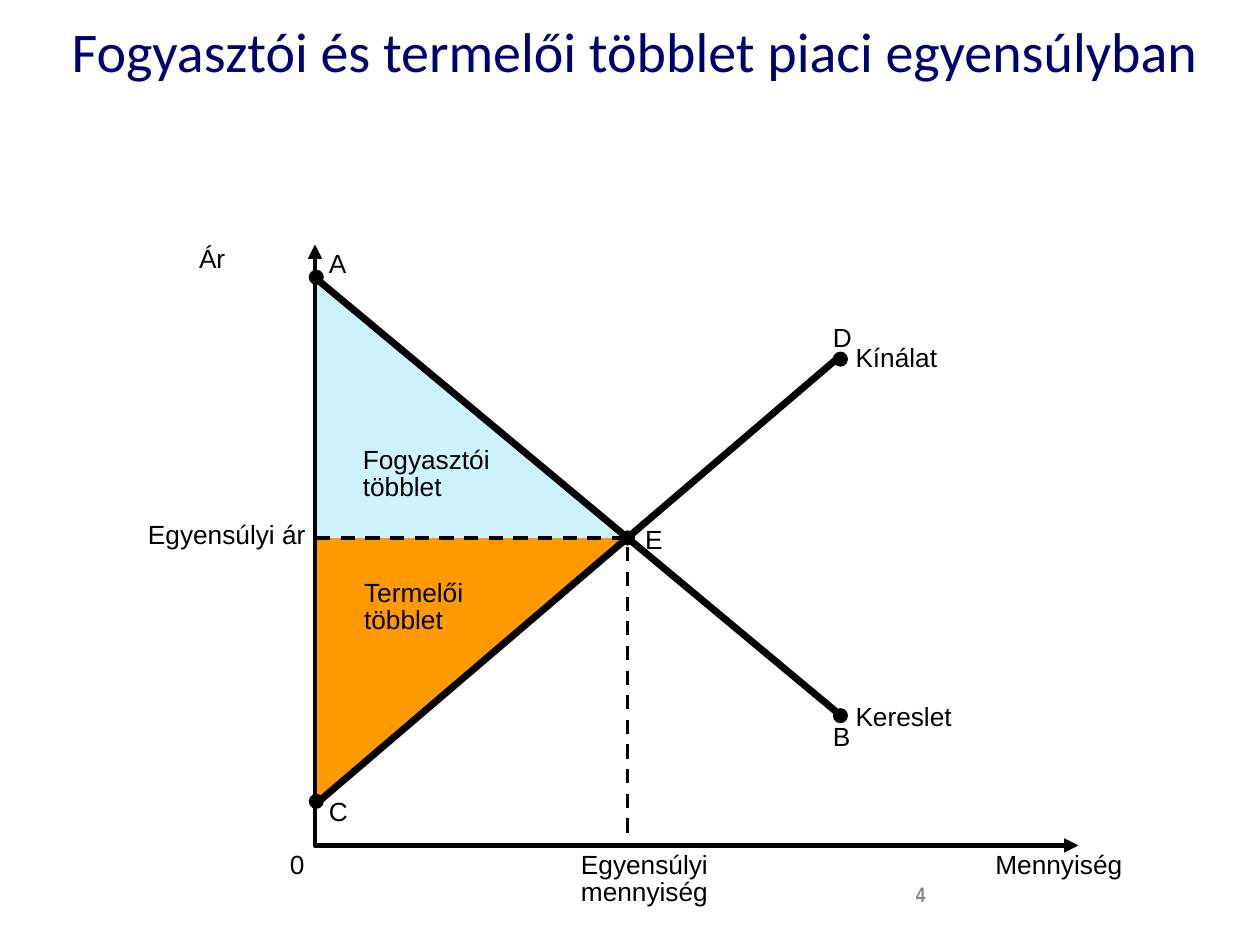
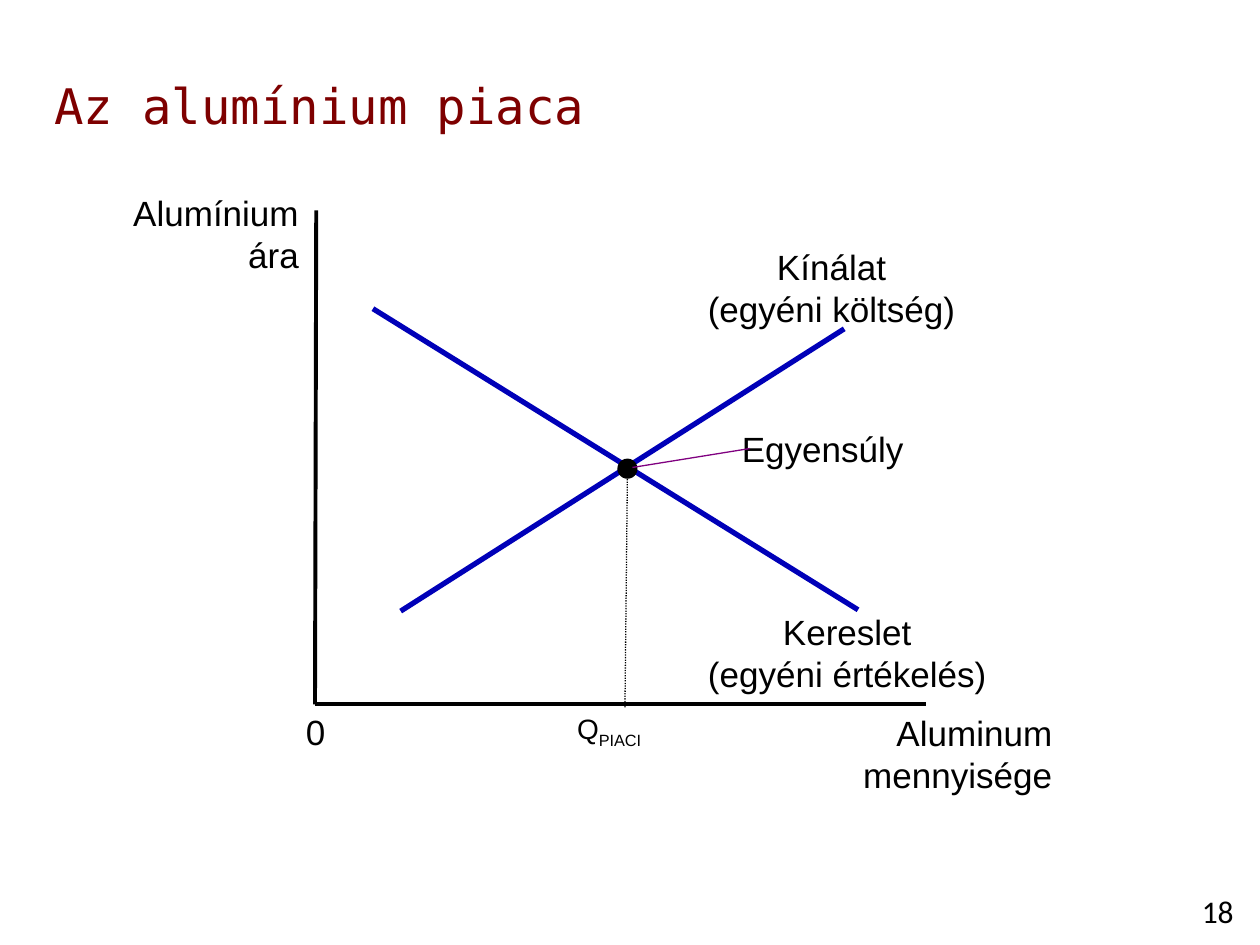
from pptx import Presentation
from pptx.dml.color import RGBColor
from pptx.enum.dml import MSO_LINE
from pptx.enum.shapes import MSO_CONNECTOR, MSO_SHAPE
from pptx.enum.text import MSO_ANCHOR, MSO_AUTO_SIZE, PP_ALIGN
from pptx.oxml.ns import qn
from pptx.util import Inches, Pt

STRAIGHT = MSO_CONNECTOR.STRAIGHT
OVAL = MSO_SHAPE.OVAL
LEFT, CENTER, RIGHT = PP_ALIGN.LEFT, PP_ALIGN.CENTER, PP_ALIGN.RIGHT
TOP, BOTTOM = MSO_ANCHOR.TOP, MSO_ANCHOR.BOTTOM
DASH, DOTS = MSO_LINE.DASH, MSO_LINE.ROUND_DOT
FIT, FIXED = MSO_AUTO_SIZE.SHAPE_TO_FIT_TEXT, MSO_AUTO_SIZE.NONE
TITLE_ONLY = 5

COLORS = {
    "ink": "000000",
    "navy": "000070",
    "maroon": "7E0000",
    "grey": "898989",
    "consumer": "CDF3FF",
    "producer": "FF9900",
    "curve": "0000B8",
    "pointer": "800080",
}


def rgb(name):
    return RGBColor.from_string(COLORS[name])


def add_run(p, text, size, color="ink", font="Arial", bold=False):
    r = p.add_run()
    r.text = text
    r.font.size = Pt(size)
    r.font.name = font
    r.font.bold = bold
    r.font.color.rgb = rgb(color)
    return r


def add_title(s, box, text, size, font, color, align, anchor):
    sp = s.shapes.title
    sp.left, sp.top, sp.width, sp.height = map(Inches, box)
    tf = sp.text_frame
    tf.auto_size = FIXED
    tf.vertical_anchor = anchor
    p = tf.paragraphs[0]
    p.alignment = align
    add_run(p, text, size, color, font)


def add_text_box(s, box, align=LEFT, wrap=True, inset=None, auto_size=FIT):
    tf = s.shapes.add_textbox(*map(Inches, box)).text_frame
    tf.word_wrap = wrap
    tf.auto_size = auto_size
    if inset is not None:
        tf.margin_left = tf.margin_right = Inches(inset)
        tf.margin_top = tf.margin_bottom = Inches(inset)
    tf.paragraphs[0].alignment = align
    return tf


def add_page_number(s, box, text, align, **style):
    tf = add_text_box(s, box, align, auto_size=FIXED)
    add_run(tf.paragraphs[0], text, **style)


class Graph:
    def __init__(self, s, box):
        self.s = s
        self.left, self.top, self.width, self.height = box

    def at(self, x, y):
        return Inches(self.left + x), Inches(self.top + y)

    def place(self, box):
        x, y, w, h = box
        return self.left + x, self.top + y, w, h

    def style_line(self, sp, color, width, dash=None):
        sp.line.color.rgb = rgb(color)
        sp.line.width = Pt(width)
        if dash:
            sp.line.dash_style = dash

    def line(self, start, end, color="ink", width=2.25, dash=None):
        c = self.s.shapes.add_connector(STRAIGHT, *self.at(*start), *self.at(*end))
        self.style_line(c, color, width, dash)
        sp_pr = c._element.spPr
        sp_pr.append(sp_pr.makeelement(qn("a:effectLst"), {}))

    def outline(self, points, close):
        first, *rest = [self.at(*point) for point in points]
        builder = self.s.shapes.build_freeform(*first)
        builder.add_line_segments(rest, close=close)
        sp = builder.convert_to_shape()
        sp.shadow.inherit = False
        return sp

    def area(self, points, color):
        sp = self.outline(points, True)
        sp.fill.solid()
        sp.fill.fore_color.rgb = rgb(color)
        sp.line.fill.background()

    def path_line(self, points, width, dash=None, arrows=False):
        sp = self.outline(points, False)
        sp.fill.background()
        self.style_line(sp, "ink", width, dash)
        if arrows:
            ln = sp._element.spPr.find(qn("a:ln"))
            for end in ("a:headEnd", "a:tailEnd"):
                ln.append(ln.makeelement(qn(end), {"type": "triangle"}))

    def dot(self, center, size):
        x, y = center
        corner = self.at(x - size / 2, y - size / 2)
        sp = self.s.shapes.add_shape(OVAL, *corner, Inches(size), Inches(size))
        sp.shadow.inherit = False
        sp.fill.solid()
        sp.fill.fore_color.rgb = rgb("ink")
        sp.line.fill.background()

    def label(self, box, lines, size, align=LEFT, wrap=False, inset=None, spacing=None):
        tf = add_text_box(self.s, self.place(box), align, wrap, inset)
        for i, text in enumerate(lines):
            p = tf.add_paragraph() if i else tf.paragraphs[0]
            p.alignment = align
            if spacing:
                p.line_spacing = spacing
            add_run(p, text, size)
        return tf


def draw_surplus_graph(s, box):
    g = Graph(s, box)
    a, b, c = (0.01, 0.26), (4.17, 3.74), (0.01, 4.42)
    d, e = (4.17, 0.91), (2.48, 2.33)
    price = (0.01, e[1])

    g.area([e, price, c], "producer")
    g.area([e, price, a], "consumer")
    g.path_line([price, e, (e[0], g.height)], 2, DASH)
    g.line((0.02, 4.43), (4.14, 0.91), width=4)
    g.line((0.02, 0.28), (4.15, 3.72), width=4)
    g.path_line([(0, 0), (0, g.height), (g.width, g.height)], 2.75, arrows=True)
    for point in (a, b, c, d, e):
        g.dot(point, 0.12)

    for x, y, w, text in [
        (-0.92, -0.02, 0.21, "Ár"),
        (-0.2, 4.79, 0.12, "0"),
        (5.4, 4.79, 1.02, "Mennyiség"),
        (0.11, 0.02, 0.16, "A"),
        (4.11, 3.78, 0.15, "B"),
        (0.11, 4.37, 0.15, "C"),
        (4.11, 0.61, 0.15, "D"),
        (2.62, 2.21, 0.14, "E"),
        (4.29, 0.77, 0.66, "Kínálat"),
        (4.29, 3.62, 0.77, "Kereslet"),
    ]:
        g.label((x, y, w, 0.25), [text], 15, inset=0)

    g.label((-1.38, 2.17, 1.36, 0.25), ["Egyensúlyi ár"], 15, CENTER, True, 0)
    for x, y, w, text, align in [
        (1.71, 4.83, 1.81, "Egyensúlyi mennyiség", CENTER),
        (0.39, 2.67, 1.24, "Termelői többlet", LEFT),
        (0.38, 1.62, 1.33, "Fogyasztói többlet", LEFT),
    ]:
        g.label((x, y, w, 0.43), [text], 15, align, True, 0, 0.85)


def draw_aluminium_graph(s, box):
    g = Graph(s, box)
    origin = (0, g.height)
    equilibrium = (2.48, 2.05)

    g.line((0.01, 0), origin)
    g.line(origin, (g.width, g.height))
    g.line((0.46, 0.78), (4.31, 3.17), "curve", 3)
    g.line((0.68, 3.18), (4.2, 0.94), "curve", 3)
    g.dot(equilibrium, 0.16)
    g.line(equilibrium, (2.46, 3.95), width=0.75, dash=DOTS)

    for label_box, lines, align, wrap in [
        ((-1.6, -0.2, 1.57, 1.11), ["Alumínium ára"], RIGHT, True),
        ((4.03, 3.93, 1.92, 0.77), ["Aluminum mennyisége"], RIGHT, True),
        ((-0.17, 3.92, 0.36, 0.44), ["0"], LEFT, False),
        ((3.01, 3.13, 2.43, 0.77), ["Kereslet", "(egyéni értékelés)"], CENTER, False),
        ((3.01, 0.23, 2.18, 0.77), ["Kínálat", "(egyéni költség)"], CENTER, False),
        ((3.28, 1.67, 1.5, 0.44), ["Egyensúly"], CENTER, False),
    ]:
        g.label(label_box, lines, 20, align, wrap)

    tf = g.label((1.95, 3.93, 0.77, 0.37), ["Q"], 16, CENTER)
    r = add_run(tf.paragraphs[0], "PIACI", 16)
    r.font._element.set("baseline", "-25000")
    g.line((2.52, 2.04), (3.45, 1.89), "pointer", 0.75)


def build_surplus_slide(prs):
    s = prs.slides.add_slide(prs.slide_layouts[TITLE_ONLY])
    add_title(s, (0.25, 0.08, 9.58, 0.83),
              "Fogyasztói és termelői többlet piaci egyensúlyban",
              32, "Calibri", "navy", CENTER, TOP)
    add_page_number(s, (7.17, 6.95, 2.33, 0.4), "4", LEFT,
                    size=12, color="grey", font="Arial Narrow", bold=True)
    draw_surplus_graph(s, (2.5, 1.94, 6.06, 4.77))


def build_aluminium_slide(prs):
    s = prs.slides.add_slide(prs.slide_layouts[TITLE_ONLY])
    add_title(s, (0.33, 0.54, 9.67, 0.58), "Az alumínium piaca",
              28, "DejaVu Sans Mono", "maroon", LEFT, BOTTOM)
    add_page_number(s, (9.33, 7.03, 0.67, 0.4), "18", CENTER,
                    size=18, font="Calibri")
    draw_aluminium_graph(s, (2.5, 1.67, 4.85, 3.92))


def main():
    prs = Presentation()
    prs.slide_width = Inches(10)
    prs.slide_height = Inches(7.5)
    build_surplus_slide(prs)
    build_aluminium_slide(prs)
    prs.save("out.pptx")


if __name__ == "__main__":
    main()
